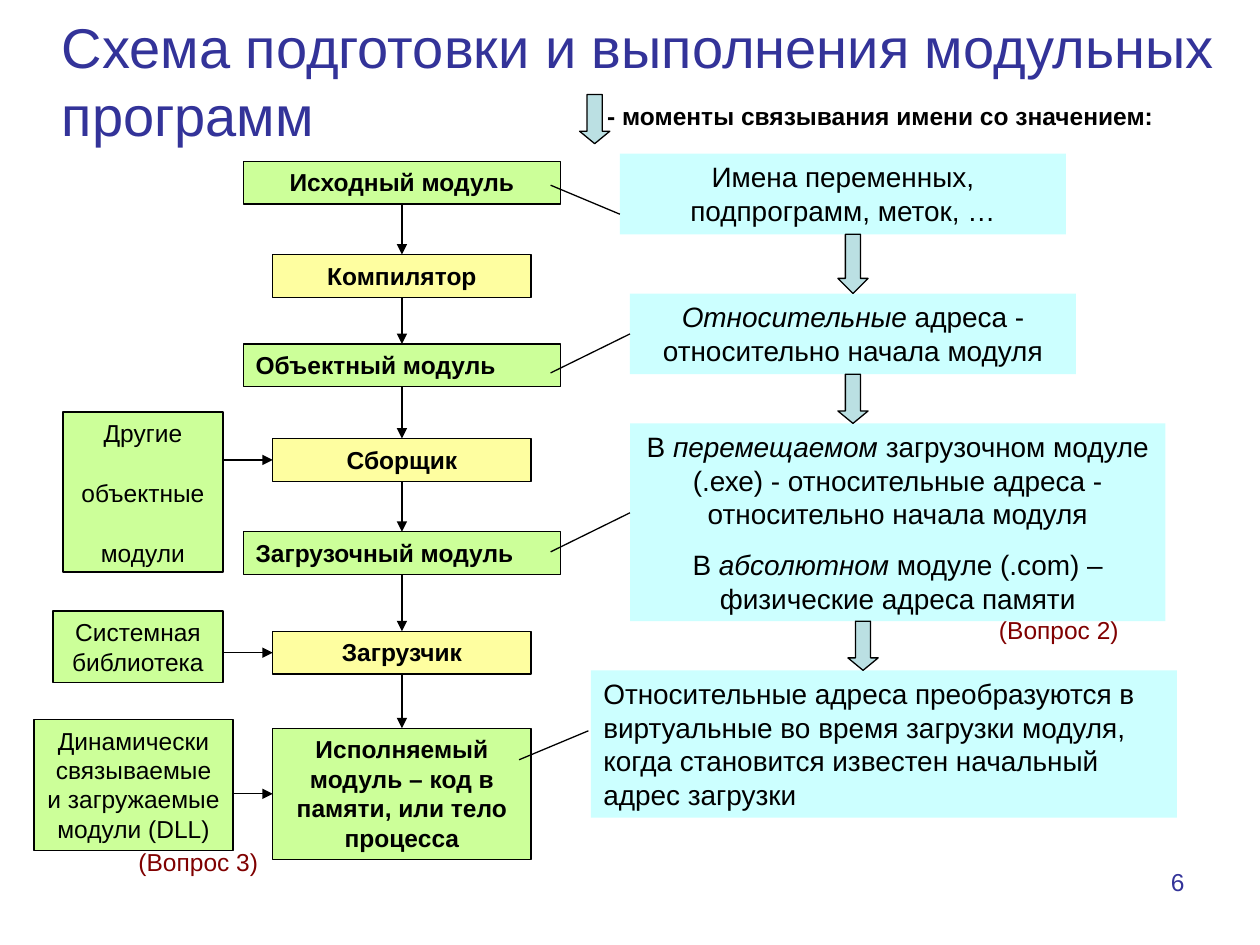
import pptx
import pptx.util
import pptx.dml.color
import pptx.enum.shapes
import pptx.enum.text
import pptx.oxml.ns
import lxml.etree

Inches = pptx.util.Inches
Pt = pptx.util.Pt
ALIGN = pptx.enum.text.PP_ALIGN
SHAPE = pptx.enum.shapes.MSO_SHAPE
COLORS = {
    "title": "333399", "text": "000000", "question": "800000", "module": "CCFF99",
    "tool": "FEFEA0", "note": "CCFFFF", "arrow": "BBE0E3",
}
FRAME = {
    "word_wrap": True,
    "auto_size": pptx.enum.text.MSO_AUTO_SIZE.NONE,
    "vertical_anchor": pptx.enum.text.MSO_ANCHOR.TOP,
    "margin_left": Inches(0.1), "margin_right": Inches(0.1),
    "margin_top": Inches(0.05), "margin_bottom": Inches(0.05),
}


def rgb(name):
    """Return the palette colour with the given name."""
    return pptx.dml.color.RGBColor.from_string(COLORS[name])


def write(shape, text, size=14, color="text", bold=False, align=ALIGN.LEFT, gap=10):
    """Write lines as paragraphs, with italics between asterisks."""
    frame = shape.text_frame
    for name, value in FRAME.items():
        setattr(frame, name, value)
    for index, line in enumerate(text.split("\n")):
        paragraph = frame.add_paragraph() if index else frame.paragraphs[0]
        paragraph.alignment = align
        paragraph.space_before = Pt(gap if index else 0)
        for part, words in enumerate(line.split("*")):
            run = paragraph.add_run()
            run.text = words
            font = {"name": "Arial", "size": Pt(size), "bold": bold, "italic": part % 2 == 1}
            for name, value in font.items():
                setattr(run.font, name, value)
            run.font.color.rgb = rgb(color)


def add_label(slide, box, text, **style):
    """Place unfilled text in a box."""
    label = slide.shapes.add_textbox(*map(Inches, box))
    write(label, text, **style)


def add_figure(slide, box, fill, kind=SHAPE.RECTANGLE, outlined=True):
    """Place a flat filled shape, with or without a thin outline."""
    figure = slide.shapes.add_shape(kind, *map(Inches, box))
    figure.shadow.inherit = False
    figure.fill.solid()
    figure.fill.fore_color.rgb = rgb(fill)
    if outlined:
        figure.line.color.rgb = rgb("text")
        figure.line.width = Pt(0.75)
    else:
        figure.line.fill.background()
    return figure


def add_line(slide, start, end, arrow=False):
    """Draw a thin straight line, optionally ending in an arrowhead."""
    line = slide.shapes.add_connector(
        pptx.enum.shapes.MSO_CONNECTOR.STRAIGHT, *map(Inches, (*start, *end)))
    line.line.color.rgb = rgb("text")
    line.line.width = Pt(0.75)
    qn = pptx.oxml.ns.qn
    if arrow:
        lxml.etree.SubElement(line.line._get_or_add_ln(), qn("a:tailEnd"), type="triangle")
    lxml.etree.SubElement(line._element.spPr, qn("a:effectLst"))
    return line


def add_block_arrow(slide, left, top, height, head):
    """Draw a block arrow marking a moment of binding."""
    arrow = add_figure(slide, (left, top, 0.24, height), "arrow", SHAPE.DOWN_ARROW)
    arrow.adjustments[0] = 0.5
    arrow.adjustments[1] = head


def add_title(slide, box, text):
    """Place and format the title placeholder."""
    title = slide.shapes.title
    for name, value in zip(("left", "top", "width", "height"), box):
        setattr(title, name, Inches(value))
    write(title, text, size=32, color="title")
    title.text_frame.vertical_anchor = pptx.enum.text.MSO_ANCHOR.MIDDLE


def add_chain(slide, box):
    """Build the column of modules and tools and return its boxes."""
    left, top, width, _ = box
    steps = [
        ("Исходный модуль", "module", 0, 0.34, 2.52, ALIGN.CENTER),
        ("Компилятор", "tool", 0.74, 0.34, 2.05, ALIGN.CENTER),
        ("Объектный модуль", "module", 1.45, 0.34, 2.52, ALIGN.LEFT),
        ("Сборщик", "tool", 2.2, 0.34, 2.05, ALIGN.CENTER),
        ("Загрузочный модуль", "module", 2.94, 0.34, 2.52, ALIGN.LEFT),
        ("Загрузчик", "tool", 3.73, 0.34, 2.05, ALIGN.CENTER),
        ("Исполняемый модуль – код в памяти, или тело процесса", "module", 4.5, 1.04, 2.05,
         ALIGN.CENTER),
    ]
    chain = []
    for text, fill, offset, height, step_width, align in steps:
        place = (left + (width - step_width) / 2, top + offset, step_width, height)
        step = add_figure(slide, place, fill)
        write(step, text, bold=True, align=align)
        chain.append(step)
    for upper, lower in zip(chain, chain[1:]):
        link = add_line(slide, (0, 0), (0, 0), arrow=True)
        link.begin_connect(upper, 2)
        link.end_connect(lower, 0)
    return chain


def add_inputs(slide, box, chain):
    """Build the extra modules on the left and lead them into the chain."""
    left, top, _, _ = box
    inputs = [
        ("Другие\nобъектные\nмодули", 0.23, 0, 1.27, 1.27, chain[3], 17.5),
        ("Системная библиотека", 0.15, 1.58, 1.35, 0.57, chain[5], 0),
        ("Динамически связываемые и загружаемые модули (DLL)", 0, 2.44, 1.58, 1.04, chain[6], 0),
    ]
    for text, dx, dy, width, height, target, gap in inputs:
        source = add_figure(slide, (left + dx, top + dy, width, height), "module")
        write(source, text, align=ALIGN.CENTER, gap=gap)
        level = (target.top + target.height / 2) / Inches(1)
        link = add_line(slide, (left + dx + width, level), (left + dx + width, level), arrow=True)
        link.end_connect(target, 1)
    add_label(slide, (left + 0.73, top + 3.4, 1.25, 0.34), "(Вопрос 3)", color="question")


def add_notes_column(slide, box):
    """Build the notes on name binding, their arrows and callout lines."""
    left, top, _, _ = box
    notes = [
        ("Имена переменных, подпрограмм, меток, …", 0.23, 0, 3.54, 0.64, ALIGN.CENTER),
        ("*Относительные *адреса - относительно начала модуля", 0.31, 1.11, 3.54, 0.64,
         ALIGN.CENTER),
        ("В *перемещаемом *загрузочном модуле (.ехе) - относительные адреса - "
         "относительно начала модуля\nВ *абсолютном *модуле (.соm) – физические адреса памяти",
         0.31, 2.14, 4.25, 1.57, ALIGN.CENTER),
        ("Относительные адреса преобразуются в виртуальные во время загрузки модуля, "
         "когда становится известен начальный адрес загрузки", 0, 4.1, 4.65, 1.17, ALIGN.LEFT),
    ]
    for text, dx, dy, width, height, align in notes:
        note = add_figure(slide, (left + dx, top + dy, width, height), "note", outlined=False)
        write(note, text, size=16, align=align)
    for upper, lower, dx, head in zip(notes, notes[1:], (1.96, 1.96, 2.04), (0.5, 0.41, 0.41)):
        bottom = upper[2] + upper[4]
        add_block_arrow(slide, left + dx, top + bottom, lower[2] - bottom, head)
    callouts = [
        (-0.32, 0.25, 0.23, 0.48), (-0.32, 1.74, 0.31, 1.43),
        (-0.32, 3.16, 0.31, 2.85), (-0.57, 4.81, -0.02, 4.58),
    ]
    for x1, y1, x2, y2 in callouts:
        add_line(slide, (left + x1, top + y1), (left + x2, top + y2))
    add_label(slide, (left + 3.14, top + 3.61, 1.25, 0.34), "(Вопрос 2)", color="question")


def add_legend(slide, box):
    """Explain the block arrow."""
    left, top, width, height = box
    add_label(slide, (left + 0.12, top, width - 0.12, height),
              "- моменты связывания имени со значением:", bold=True)
    add_block_arrow(slide, left, top, 0.39, 0.41)


def main():
    """Build and save the presentation."""
    presentation = pptx.Presentation()
    presentation.slide_width = Inches(10)
    presentation.slide_height = Inches(7.5)
    slide = presentation.slides.add_slide(presentation.slide_layouts[5])
    add_title(slide, (0.39, 0.04, 9.8, 1.19), "Схема подготовки и выполнения модульных программ")
    chain = add_chain(slide, (1.93, 1.28, 2.52, 5.54))
    add_inputs(slide, (0.27, 3.27, 1.58, 3.74), chain)
    add_notes_column(slide, (4.69, 1.22, 4.65, 5.27))
    add_legend(slide, (4.6, 0.75, 5.07, 0.39))
    add_label(slide, (7.17, 6.83, 2.33, 0.52), "6", color="title", align=ALIGN.RIGHT)
    presentation.save("out.pptx")


if __name__ == "__main__":
    main()
